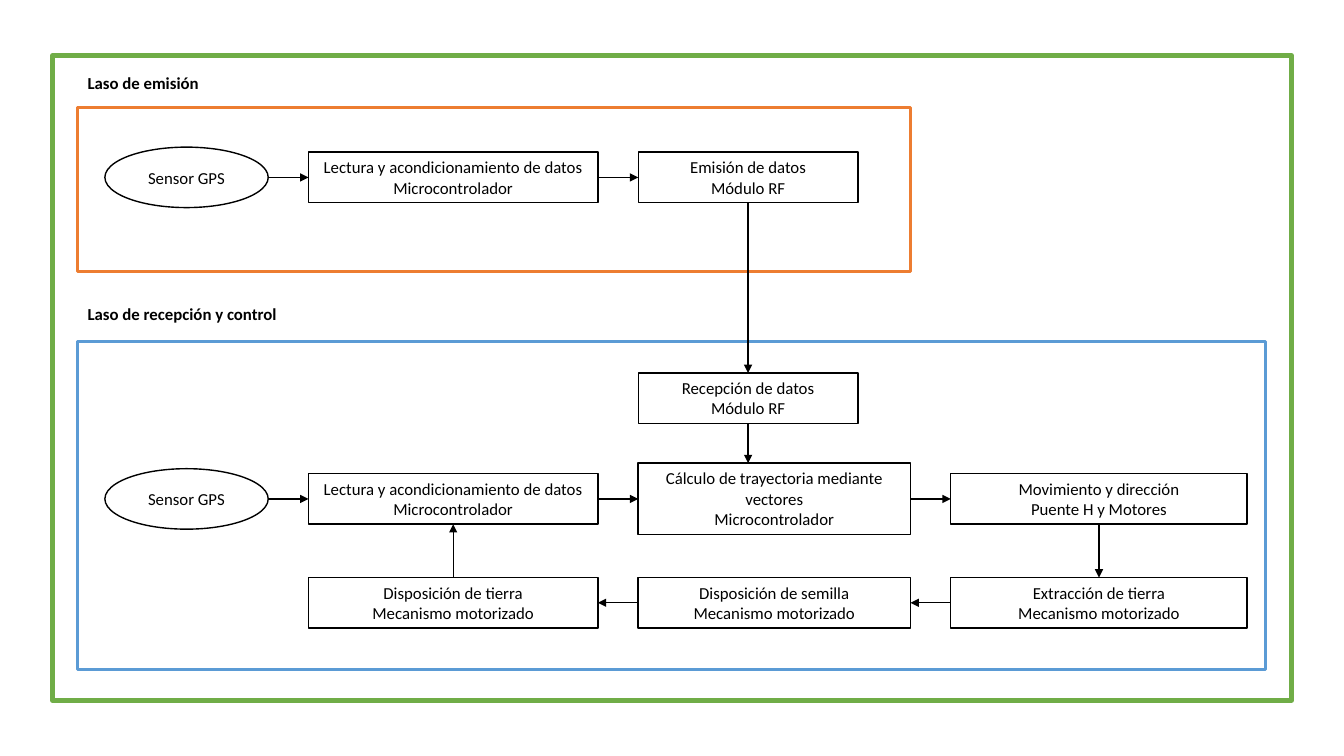
import pptx
import pptx.dml.color
import pptx.enum.shapes
import pptx.enum.text
import pptx.oxml
import pptx.oxml.ns
import pptx.util

COLORS = {
    "white": "FFFFFF",
    "ink": "000000",
    "system": "70AD47",
    "emission": "ED7D31",
    "control": "5B9BD5",
}
COLUMNS = {
    "sensor": (1.04, 1.62),
    "reading": (3.06, 2.87),
    "radio": (6.33, 2.18),
    "process": (6.33, 2.7),
    "drive": (9.43, 2.94),
}
ROWS = {"emission": 1.76, "reception": 3.95, "control": 4.95, "mechanism": 5.98}
SITES = {"top": 0, "left": 1, "bottom": 2, "right": 3}
OPPOSITE = {"top": "bottom", "bottom": "top", "left": "right", "right": "left"}
RECTANGLE = pptx.enum.shapes.MSO_SHAPE.RECTANGLE
OVAL = pptx.enum.shapes.MSO_SHAPE.OVAL


class BlockDiagram:
    font_name = "Calibri"
    font_size = 12
    line_width = 1

    def __init__(self, slide):
        self.slide = slide

    def color(self, name):
        return pptx.dml.color.RGBColor.from_string(COLORS[name])

    def add_lines(self, frame, lines, bold=False, align=None):
        frame.word_wrap = True
        for index, line in enumerate(lines):
            paragraph = frame.paragraphs[0] if index == 0 else frame.add_paragraph()
            paragraph.alignment = align
            run = paragraph.add_run()
            run.text = line
            run.font.name = self.font_name
            run.font.size = pptx.util.Pt(self.font_size)
            run.font.bold = bold
            run.font.color.rgb = self.color("ink")

    def outline(self, kind, left, top, width, height, line, weight):
        outlined = self.slide.shapes.add_shape(
            kind, *map(pptx.util.Inches, (left, top, width, height)))
        outlined.shadow.inherit = False
        outlined.fill.solid()
        outlined.fill.fore_color.rgb = self.color("white")
        outlined.line.color.rgb = self.color(line)
        outlined.line.width = pptx.util.Pt(weight)
        return outlined

    def panel(self, left, top, width, height, line, weight=2.25):
        self.outline(RECTANGLE, left, top, width, height, line, weight)

    def block(self, column, row, *lines, height=0.5, kind=RECTANGLE):
        left, width = COLUMNS[column]
        block = self.outline(kind, left, ROWS[row] - height / 2, width, height,
                             "ink", self.line_width)
        frame = block.text_frame
        self.add_lines(frame, lines, align=pptx.enum.text.PP_ALIGN.CENTER)
        if kind == RECTANGLE:
            frame.vertical_anchor = pptx.enum.text.MSO_ANCHOR.TOP
            frame.auto_size = pptx.enum.text.MSO_AUTO_SIZE.SHAPE_TO_FIT_TEXT
        return block

    def sensor(self, row):
        return self.block("sensor", row, "Sensor GPS", height=0.6, kind=OVAL)

    def heading(self, top, width, text):
        heading = self.slide.shapes.add_textbox(
            *map(pptx.util.Inches, (0.77, top, width, 0.3)))
        self.add_lines(heading.text_frame, [text], bold=True)
        heading.text_frame.auto_size = pptx.enum.text.MSO_AUTO_SIZE.SHAPE_TO_FIT_TEXT

    def edge(self, block, side):
        x, y = block.left + block.width // 2, block.top + block.height // 2
        return {
            "top": (x, block.top),
            "left": (block.left, y),
            "bottom": (x, block.top + block.height),
            "right": (block.left + block.width, y),
        }[side]

    def arrow(self, source, side, target, centred=True):
        start = self.edge(source, side)
        end = self.edge(target, OPPOSITE[side])
        if not centred:
            end = (start[0], end[1])
        arrow = self.slide.shapes.add_connector(
            pptx.enum.shapes.MSO_CONNECTOR.STRAIGHT, *start, *end)
        if source.auto_shape_type == RECTANGLE:
            arrow.begin_connect(source, SITES[side])
        if centred:
            arrow.end_connect(target, SITES[OPPOSITE[side]])
        arrow.line.color.rgb = self.color("ink")
        arrow.line.width = pptx.util.Pt(self.line_width)
        properties = arrow._element.spPr
        head = pptx.oxml.parse_xml(
            f'<a:tailEnd {pptx.oxml.ns.nsdecls("a")} type="triangle"/>')
        properties.find(pptx.oxml.ns.qn("a:ln")).append(head)
        properties.append(pptx.oxml.parse_xml(
            f'<a:effectLst {pptx.oxml.ns.nsdecls("a")}/>'))


def main():
    presentation = pptx.Presentation()
    presentation.slide_width = pptx.util.Inches(13.33)
    presentation.slide_height = pptx.util.Inches(7.5)
    diagram = BlockDiagram(presentation.slides.add_slide(presentation.slide_layouts[6]))

    diagram.panel(0.52, 0.55, 12.29, 6.4, "system", 3)
    diagram.panel(0.77, 3.39, 11.78, 3.25, "control")
    diagram.panel(0.77, 1.07, 8.26, 1.62, "emission")
    diagram.heading(0.67, 2.29, "Laso de emisión")
    diagram.heading(2.96, 2.79, "Laso de recepción y control")

    readings = {}
    for row in ("emission", "control"):
        sensor = diagram.sensor(row)
        readings[row] = diagram.block(
            "reading", row, "Lectura y acondicionamiento de datos", "Microcontrolador")
        diagram.arrow(sensor, "right", readings[row])

    emission = diagram.block("radio", "emission", "Emisión de datos", "Módulo RF")
    reception = diagram.block("radio", "reception", "Recepción de datos", "Módulo RF")
    trajectory = diagram.block(
        "process", "control", "Cálculo de trayectoria mediante vectores",
        "Microcontrolador", height=0.71)
    movement = diagram.block(
        "drive", "control", "Movimiento y dirección", "Puente H y Motores")
    extraction, seeding, covering = (
        diagram.block(column, "mechanism", task, "Mecanismo motorizado")
        for column, task in (
            ("drive", "Extracción de tierra"),
            ("process", "Disposición de semilla"),
            ("reading", "Disposición de tierra"),
        ))

    diagram.arrow(readings["emission"], "right", emission)
    diagram.arrow(emission, "bottom", reception)
    diagram.arrow(reception, "bottom", trajectory, centred=False)
    diagram.arrow(readings["control"], "right", trajectory)
    diagram.arrow(trajectory, "right", movement)
    diagram.arrow(movement, "bottom", extraction)
    diagram.arrow(extraction, "left", seeding)
    diagram.arrow(seeding, "left", covering)
    diagram.arrow(covering, "top", readings["control"])

    presentation.save("out.pptx")


if __name__ == "__main__":
    main()
